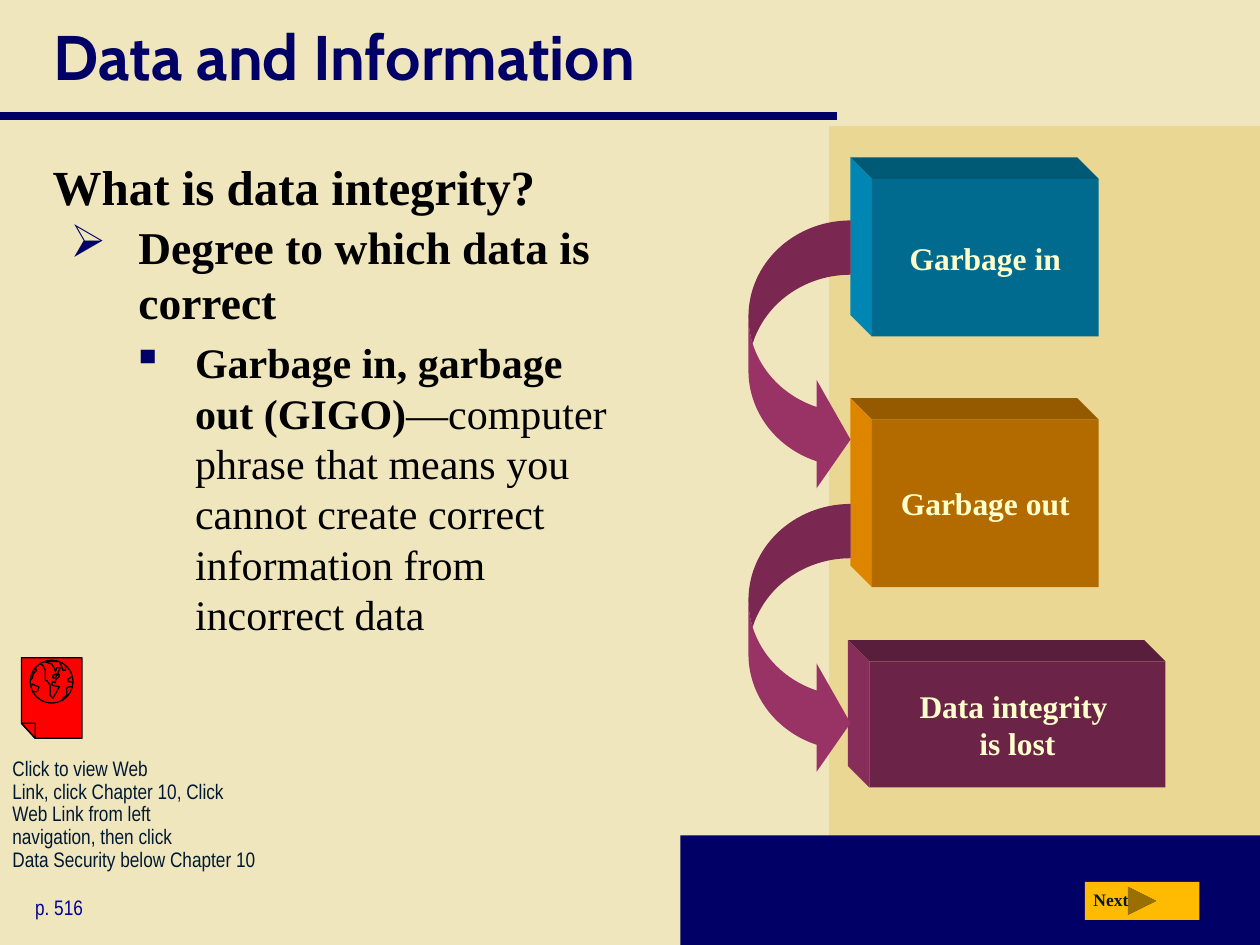
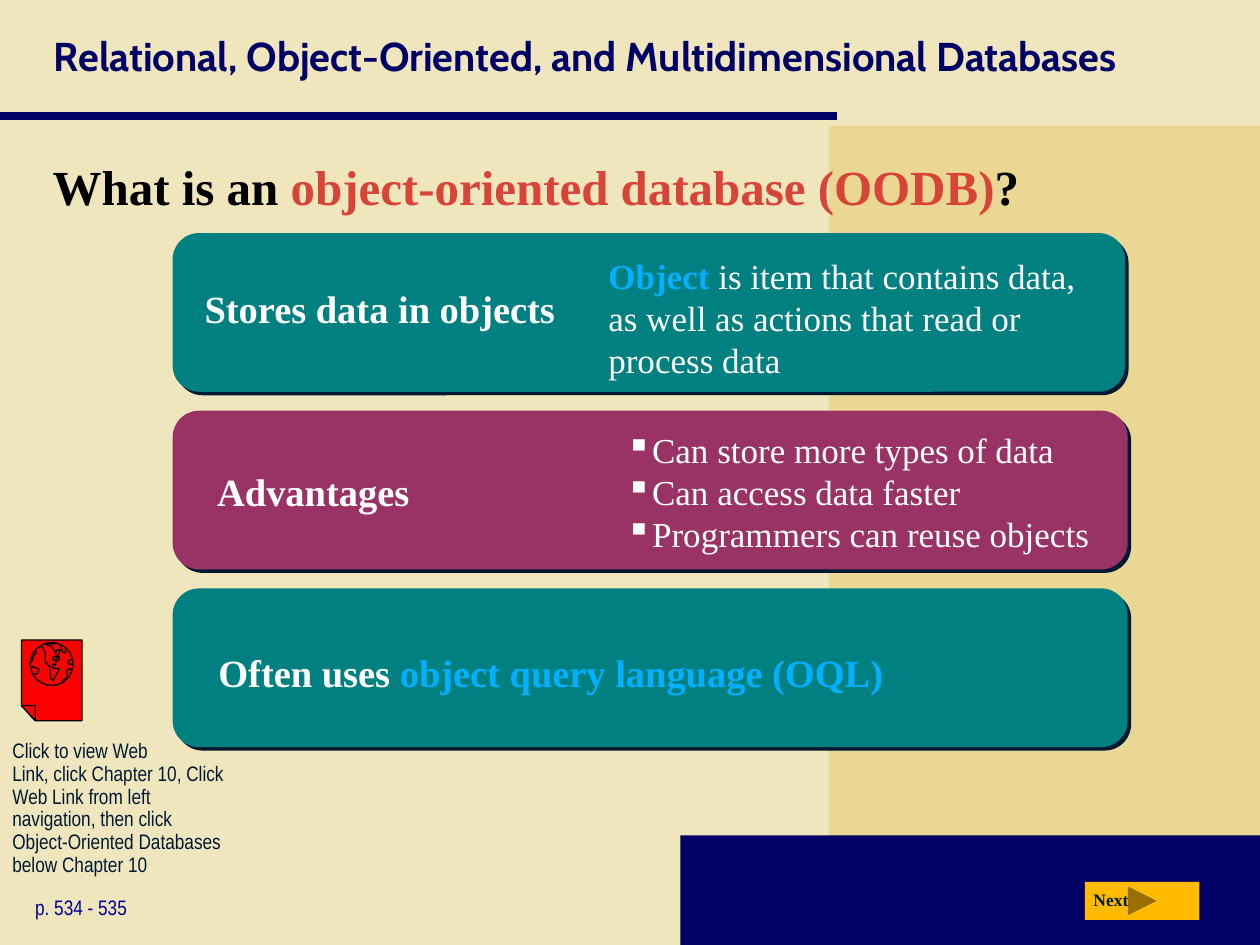
from lxml.etree import SubElement
from pptx import Presentation
from pptx.dml.color import RGBColor
from pptx.enum.shapes import MSO_CONNECTOR, MSO_SHAPE
from pptx.enum.text import MSO_ANCHOR, MSO_AUTO_SIZE, PP_ALIGN
from pptx.oxml.ns import qn
from pptx.util import Inches, Pt

COLORS = {
    "paper": "F0E6BE", "sand": "E9D793", "navy": "000066", "black": "000000",
    "page_blue": "000099", "ink": "001932", "button": "FFBA02", "white": "FFFFFF",
    "cream": "FFFFCC", "plum": "993366", "teal": "008080", "red": "FF0000",
    "term": "D94439", "sky": "01B0FF",
}
SERIF, NARROW, HEADING = "Times New Roman", "Arial Narrow", "Cabin"

# Front, top and side colours of each solid block
BLOCK_FACES = {
    "blue": ("006B8F", "005975", "0086B3"),
    "orange": ("B36B00", "955A00", "DE8500"),
    "purple": ("6B2447", "591E3B", "862D59"),
}
BLOCK_DEPTH = 0.17

# Web page symbol, in hundredths of an inch from its top left corner
PAGE_OUTLINE = [(0, 0), (48, 0), (48, 64), (11, 64), (0, 52)]
PAGE_FOLD = [(0, 52), (11, 52), (11, 64)]
COASTS = [
    [(20, 2), (21, 3), (25, 3), (30, 3), (31, 5), (32, 7), (33, 10), (35, 10), (35, 6)],
    [(7, 18), (9, 16), (9, 14), (10, 12), (12, 10), (11, 8)],
    [(8, 22), (9, 21), (11, 22), (14, 23), (13, 26), (12, 27), (9, 27)],
    [(33, 34), (33, 32), (36, 30), (36, 24), (38, 23), (40, 23)],
    [(41, 20), (39, 19), (37, 19), (37, 17), (40, 15), (40, 14)],
    [(18, 3), (24, 5), (26, 8), (27, 11), (28, 8), (31, 8), (30, 10), (29, 12),
     (25, 14), (25, 16), (27, 16), (28, 14), (30, 13), (30, 15), (27, 18), (27, 20),
     (25, 19), (24, 21), (25, 22), (30, 23), (28, 27), (25, 32), (23, 30), (23, 22),
     (20, 18), (19, 18), (19, 10), (17, 6), (15, 5)],
]


def rgb(color):
    return RGBColor.from_string(COLORS.get(color, color))


def add_text(frame, text, new=False, size=18, font=SERIF, color="black", bold=False,
             align=PP_ALIGN.LEFT, before=0, spacing=None, margin=0, indent=0,
             bullet=None, bullet_color=None):
    """Write one paragraph; text is a string or a list of (string, overrides)."""
    paragraph = frame.add_paragraph() if new else frame.paragraphs[0]
    paragraph.alignment = align
    paragraph.space_before = Pt(before)
    if spacing:
        paragraph.line_spacing = spacing
    properties = paragraph._p.get_or_add_pPr()
    properties.set("marL", str(Inches(margin)))
    properties.set("indent", str(Inches(indent)))
    if bullet:
        bullet_fill = SubElement(properties, qn("a:buClr"))
        SubElement(bullet_fill, qn("a:srgbClr")).set("val", str(rgb(bullet_color or color)))
        SubElement(properties, qn("a:buChar")).set("char", bullet)
    for words, changes in [(text, {})] if isinstance(text, str) else text:
        for number, line in enumerate(words.split("\n")):
            if number:
                paragraph.add_line_break()
            run = paragraph.add_run()
            run.text = line
            run.font.size = Pt(size)
            run.font.name = font
            run.font.bold = changes.get("bold", bold)
            run.font.color.rgb = rgb(changes.get("color", color))


class Deck:
    def __init__(self):
        self.presentation = Presentation()
        self.presentation.slide_width = Inches(10)
        self.presentation.slide_height = Inches(7.5)
        self.slide = None

    def start_slide(self, title, title_size, question, pages):
        layout = self.presentation.slide_layouts[6]
        self.slide = self.presentation.slides.add_slide(layout)
        self.slide.background.fill.solid()
        self.slide.background.fill.fore_color.rgb = rgb("paper")
        # Bands and rule
        self.shape(MSO_SHAPE.RECTANGLE, 6.58, 1, 3.42, 6.5, "sand")
        self.shape(MSO_SHAPE.RECTANGLE, 5.4, 6.63, 4.6, 0.87, "navy")
        self.rule(0, 6.64, 0.92)
        # Title and question
        heading = self.text_box(0.33, 0, 9.67, 0.88, anchor=MSO_ANCHOR.MIDDLE)
        add_text(heading, title, size=title_size, font=HEADING, color="navy", bold=True)
        add_text(self.text_box(0.32, 1.19, 9.39, 0.7), question, size=28, bold=True,
                 before=5.6, margin=0.58, indent=-0.58)
        # Footer
        add_text(self.text_box(0.18, 7.05, 1.69, 0.3), pages, size=12, font=NARROW,
                 color="page_blue", before=6)
        self.shape(MSO_SHAPE.ACTION_BUTTON_FORWARD_OR_NEXT, 8.61, 7, 0.91, 0.3, "button")
        add_text(self.text_box(8.58, 7.01, 0.51, 0.27), "Next", size=10, color="ink",
                 bold=True, before=5)

    def paint(self, shape, fill=None, line=None):
        shape.shadow.inherit = False
        if fill:
            shape.fill.solid()
            shape.fill.fore_color.rgb = rgb(fill)
        else:
            shape.fill.background()
        if line:
            shape.line.color.rgb = rgb(line)
            shape.line.width = Pt(0.75)
        else:
            shape.line.fill.background()
        return shape

    def shape(self, kind, left, top, width, height, fill=None, line=None, adjust=()):
        shape = self.slide.shapes.add_shape(
            kind, Inches(left), Inches(top), Inches(width), Inches(height))
        for number, value in enumerate(adjust):
            shape.adjustments[number] = value
        return self.paint(shape, fill, line)

    def outline(self, contours, fill=None, line=None, close=True):
        contours = [[(Inches(x), Inches(y)) for x, y in points] for points in contours]
        builder = self.slide.shapes.build_freeform(*contours[0][0], scale=1.0)
        for number, points in enumerate(contours):
            if number:
                builder.move_to(*points[0])
            builder.add_line_segments(points[1:], close=close)
        return self.paint(builder.convert_to_shape(), fill, line)

    def rule(self, start, end, y):
        rule = self.slide.shapes.add_connector(
            MSO_CONNECTOR.STRAIGHT, Inches(start), Inches(y), Inches(end), Inches(y))
        rule.line.color.rgb = rgb("navy")
        rule.line.width = Pt(5)
        SubElement(rule._element.spPr, qn("a:effectLst"))

    def text_box(self, left, top, width, height, anchor=MSO_ANCHOR.TOP):
        frame = self.slide.shapes.add_textbox(
            Inches(left), Inches(top), Inches(width), Inches(height)).text_frame
        frame.word_wrap = True
        frame.vertical_anchor = anchor
        return frame

    def card(self, left, top, width, height, fill):
        card = self.shape(MSO_SHAPE.ROUNDED_RECTANGLE, left, top, width, height, fill,
                          adjust=[0.167])
        effects = card._element.spPr.find(qn("a:effectLst"))
        shadow = SubElement(effects, qn("a:outerShdw"), dist=str(Pt(2.8)), dir="2700000",
                            algn="ctr", rotWithShape="0")
        SubElement(shadow, qn("a:srgbClr"), val=COLORS["ink"])

    def card_text(self, left, top, width, height, wrap=False):
        frame = self.shape(MSO_SHAPE.ROUNDED_RECTANGLE, left, top, width, height,
                           adjust=[0.167]).text_frame
        frame.word_wrap = wrap
        frame.auto_size = MSO_AUTO_SIZE.SHAPE_TO_FIT_TEXT
        frame.vertical_anchor = MSO_ANCHOR.TOP
        return frame

    def block(self, left, top, width, height, label, faces):
        front, lid, side = BLOCK_FACES[faces]
        back_left, back_top = left - BLOCK_DEPTH, top - BLOCK_DEPTH
        right, bottom = left + width, top + height
        self.outline([[(back_left, back_top), (right - BLOCK_DEPTH, back_top),
                       (right, top), (left, top)]], lid)
        self.outline([[(back_left, back_top), (left, top), (left, bottom),
                       (back_left, bottom - BLOCK_DEPTH)]], side)
        frame = self.shape(MSO_SHAPE.RECTANGLE, left, top, width, height, front).text_frame
        frame.word_wrap = False
        frame.vertical_anchor = MSO_ANCHOR.MIDDLE
        add_text(frame, label, color="cream", bold=True, align=PP_ALIGN.CENTER)

    def web_link(self, top, topic):
        left, page_top = 0.17, top - 0.75

        def place(points):
            return [(left + x / 100, page_top + y / 100) for x, y in points]

        add_text(self.text_box(0, top, 2.17, 0.67),
                 "Click to view Web \nLink, click Chapter 10, Click \nWeb Link from left \n"
                 f"navigation, then click \n{topic} below Chapter 10",
                 size=12, font=NARROW, color="ink", spacing=0.9)
        for part in (PAGE_OUTLINE, PAGE_FOLD):
            self.outline([place(part)], "red", "black")
        self.shape(MSO_SHAPE.OVAL, left + 0.07, page_top + 0.02, 0.34, 0.34, "red", "black")
        self.outline([place(coast) for coast in COASTS], line="black", close=False)


def build_integrity(deck):
    deck.start_slide("Data and Information", 36, "What is data integrity?", "p. 516")
    # Definition
    definition = deck.text_box(0.33, 1.69, 4.67, 3.72)
    add_text(definition, "Degree to which data is correct", size=26, bold=True, before=1.3,
             margin=0.67, indent=-0.54, bullet="➢", bullet_color="navy")
    add_text(definition, [
        ("Garbage in, garbage out (GIGO)", {"bold": True}),
        ("—computer phrase that means you cannot create correct information "
         "from incorrect data", {}),
    ], new=True, size=24, before=4.8, margin=1.12, indent=-0.5, bullet="▪",
        bullet_color="navy")
    # Chain of blocks
    deck.block(6.92, 3.33, 1.8, 1.33, "Garbage out", "orange")
    deck.block(6.92, 1.42, 1.8, 1.25, "Garbage in", "blue")
    deck.block(6.9, 5.25, 2.35, 1, "Data integrity \nis lost", "purple")
    for arrow_top in (4, 1.75):
        deck.shape(MSO_SHAPE.CURVED_RIGHT_ARROW, 5.94, arrow_top, 0.81, 2.17, "plum",
                   adjust=[0.532, 1.064, 0.333])
    deck.web_link(5.97, "Data Security")


def build_object_database(deck):
    deck.start_slide(
        "Relational, Object-Oriented, and Multidimensional Databases", 23,
        [("What is an ", {}), ("object-oriented database (OODB)", {"color": "term"}),
         ("?", {})], "p. 534 - 535")
    # Cards with their headings
    cards = [
        (7.56, "teal", (1.5, 2.19, 3.05), "Stores data in objects"),
        (7.58, "plum", (1.6, 3.64, 1.78), "Advantages"),
        (7.58, "teal", (1.61, 5.08, 5.54),
         [("Often uses ", {}), ("object query language (OQL)", {"color": "sky"})]),
    ]
    for row, (width, fill, heading_place, heading) in enumerate(cards):
        deck.card(1.37, 1.85 + 1.41 * row, width, 1.26, fill)
        add_text(deck.card_text(*heading_place, 0.52), heading, size=22, color="white",
                 bold=True)
    # Details
    add_text(deck.card_text(4.67, 1.91, 4.23, 1.23, wrap=True), [
        ("Object", {"color": "sky", "bold": True}),
        (" is item that contains data, as well as actions that read or process data", {}),
    ], size=20, color="white")
    advantages = deck.card_text(4.38, 3.29, 4.47, 1.23, wrap=True)
    for number, advantage in enumerate(("Can store more types of data",
                                        "Can access data faster",
                                        "Programmers can reuse objects")):
        add_text(advantages, advantage, new=number > 0, size=20, color="white",
                 margin=0.12, indent=0.31, bullet="▪")
    deck.web_link(5.83, "Object-Oriented Databases")


def main():
    deck = Deck()
    build_integrity(deck)
    build_object_database(deck)
    deck.presentation.save("out.pptx")


if __name__ == "__main__":
    main()
